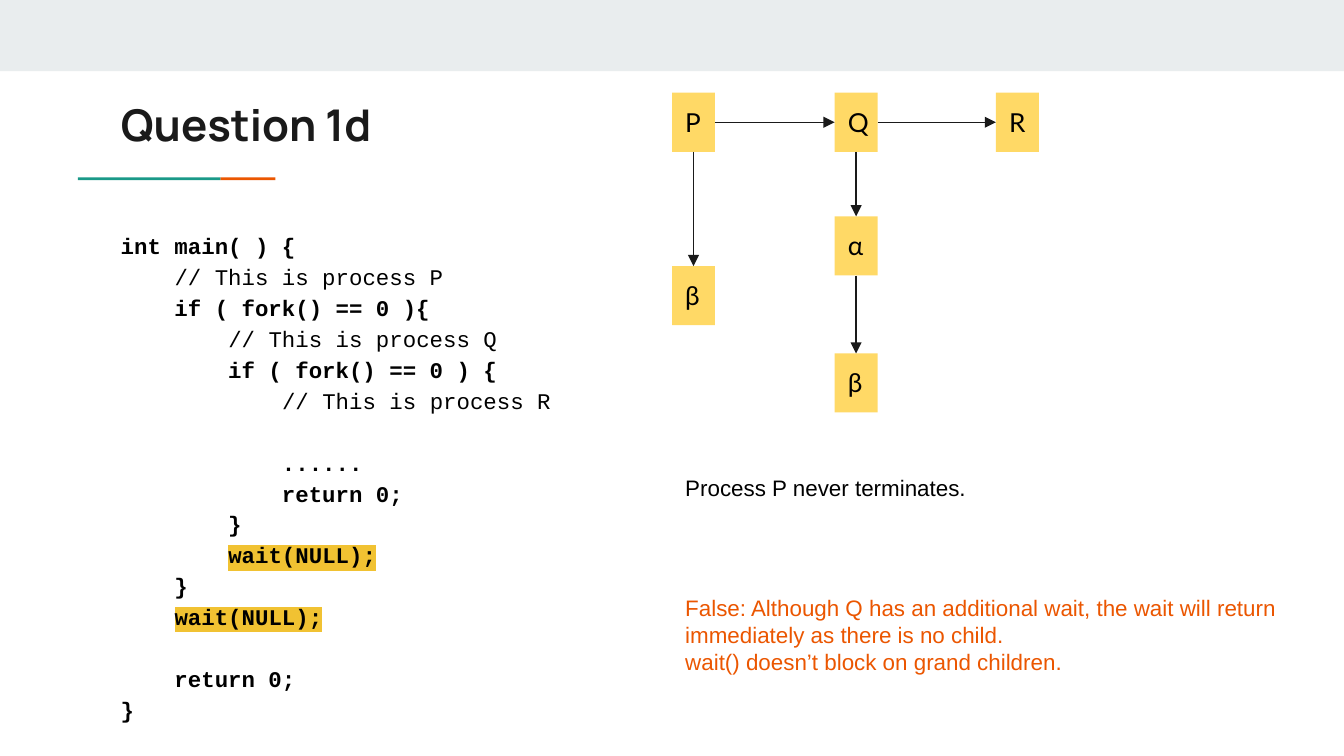
from dataclasses import dataclass

from lxml import etree
from pptx import Presentation
from pptx import util as u
from pptx.dml.color import RGBColor
from pptx.enum import shapes, text
from pptx.oxml.ns import qn

SLIDE_WIDTH = 10
SLIDE_HEIGHT = SLIDE_WIDTH * 9 / 16
BLACK, INK = "000000", "1A1A1A"
ORANGE, TEAL = "EB5600", "1A9988"
HIGHLIGHT = "F1C232"
TOP, LEFT, BOTTOM, RIGHT = range(4)
CODE_LINE = 16.56


@dataclass(frozen=True)
class Bar:
    left: float
    top: float
    width: float
    height: float
    color: str


@dataclass(frozen=True)
class Node:
    label: str
    left: float
    top: float


@dataclass(frozen=True)
class Arrow:
    start: str
    end: str
    start_side: int
    end_side: int


@dataclass(frozen=True)
class CodeLine:
    indent: int
    code: str
    bold: bool = True
    highlight: bool = False
    gap_before: bool = False


@dataclass(frozen=True)
class Note:
    top: float
    height: float
    color: str
    lines: tuple


BARS = [
    Bar(0, 0, SLIDE_WIDTH, 0.53, "E9EDEE"),
    Bar(1.64, 1.32, 0.41, 0.02, ORANGE),
    Bar(0.58, 1.32, 1.06, 0.02, TEAL),
]

NODES = {
    "P": Node("P", 5, 0.69),
    "Q": Node("Q", 6.21, 0.69),
    "R": Node("R", 7.41, 0.69),
    "P beta": Node("β", 5, 1.98),
    "Q alpha": Node("α", 6.21, 1.61),
    "Q beta": Node("β", 6.21, 2.63),
}

ARROWS = [
    Arrow("P", "Q", RIGHT, LEFT),
    Arrow("Q", "R", RIGHT, LEFT),
    Arrow("P", "P beta", BOTTOM, TOP),
    Arrow("Q", "Q alpha", BOTTOM, TOP),
    Arrow("Q alpha", "Q beta", BOTTOM, TOP),
]

CODE = [
    CodeLine(0, "int main( ) {"),
    CodeLine(1, "// This is process P", bold=False),
    CodeLine(1, "if ( fork() == 0 ){"),
    CodeLine(2, "// This is process Q", bold=False),
    CodeLine(2, "if ( fork() == 0 ) {"),
    CodeLine(3, "// This is process R", bold=False),
    CodeLine(3, "......", gap_before=True),
    CodeLine(3, "return 0;"),
    CodeLine(2, "}"),
    CodeLine(2, "wait(NULL);", highlight=True),
    CodeLine(1, "}"),
    CodeLine(1, "wait(NULL);", highlight=True),
    CodeLine(1, "return 0;", gap_before=True),
    CodeLine(0, "}"),
]

NOTES = [
    Note(3.43, 0.4, BLACK, ("Process P never terminates.",)),
    Note(4.32, 0.81, ORANGE, (
        "False: Although Q has an additional wait, the wait will return "
        "immediately as there is no child.",
        "wait() doesn’t block on grand children.",
    )),
]


def rgb(color: str) -> RGBColor:
    return RGBColor.from_string(color)


def add_run(paragraph, content: str, font: str, size: float, color: str, bold: bool = False):
    run = paragraph.add_run()
    run.text = content
    run.font.name = font
    run.font.size = u.Pt(size)
    run.font.bold = bold
    run.font.color.rgb = rgb(color)
    return run


def highlight_run(run, color: str) -> None:
    highlight = etree.Element(qn("a:highlight"))
    etree.SubElement(highlight, qn("a:srgbClr"), val=color)
    run._r.rPr.find(qn("a:solidFill")).addnext(highlight)


def prepare_frame(shape):
    frame = shape.text_frame
    frame.word_wrap = True
    frame.vertical_anchor = text.MSO_ANCHOR.TOP
    frame.margin_left = frame.margin_right = u.Inches(0.1)
    frame.margin_top = frame.margin_bottom = u.Inches(0.1)
    return frame


def add_box(slide, bar: Bar):
    shape = slide.shapes.add_shape(
        shapes.MSO_SHAPE.RECTANGLE,
        u.Inches(bar.left), u.Inches(bar.top), u.Inches(bar.width), u.Inches(bar.height))
    shape.shadow.inherit = False
    shape.fill.solid()
    shape.fill.fore_color.rgb = rgb(bar.color)
    shape.line.fill.background()
    return shape


def add_title(slide, content: str) -> None:
    title = slide.shapes.title
    title.left, title.top = u.Inches(0.8), u.Inches(0.63)
    title.width, title.height = u.Inches(8.41), u.Inches(0.59)
    paragraph = prepare_frame(title).paragraphs[0]
    paragraph.alignment = text.PP_ALIGN.LEFT
    add_run(paragraph, content, "Manrope", 23.4, INK, bold=True)


def add_node(slide, node: Node):
    shape = add_box(slide, Bar(node.left, node.top, 0.32, 0.44, "FFD966"))
    paragraph = prepare_frame(shape).paragraphs[0]
    paragraph.alignment = text.PP_ALIGN.LEFT
    add_run(paragraph, node.label, "Lato", 14, BLACK)
    return shape


def add_arrow(slide, arrow: Arrow, boxes: dict) -> None:
    connector = slide.shapes.add_connector(shapes.MSO_CONNECTOR.STRAIGHT, 0, 0, 0, 0)
    connector.begin_connect(boxes[arrow.start], arrow.start_side)
    connector.end_connect(boxes[arrow.end], arrow.end_side)
    connector.line.color.rgb = rgb(INK)
    connector.line.width = u.Pt(0.75)
    etree.SubElement(connector.line._get_or_add_ln(), qn("a:tailEnd"), type="triangle")
    etree.SubElement(connector._element.spPr, qn("a:effectLst"))


def add_code(slide, lines: list) -> None:
    box = slide.shapes.add_textbox(u.Inches(0.8), u.Inches(1.6), u.Inches(3.52), u.Inches(3.67))
    frame = prepare_frame(box)
    for index, line in enumerate(lines):
        paragraph = frame.add_paragraph() if index else frame.paragraphs[0]
        paragraph.line_spacing = 1.15
        if line.gap_before:
            paragraph.space_before = u.Pt(CODE_LINE)
        if line.indent:
            add_run(paragraph, "    " * line.indent, "Courier New", 12, BLACK, bold=True)
        run = add_run(paragraph, line.code, "Courier New", 12, BLACK, line.bold)
        if line.highlight:
            highlight_run(run, HIGHLIGHT)


def add_note(slide, note: Note) -> None:
    box = slide.shapes.add_textbox(
        u.Inches(5), u.Inches(note.top), u.Inches(4.72), u.Inches(note.height))
    frame = prepare_frame(box)
    for index, line in enumerate(note.lines):
        paragraph = frame.add_paragraph() if index else frame.paragraphs[0]
        add_run(paragraph, line, "Arial", 12, note.color)


def main() -> None:
    presentation = Presentation()
    presentation.slide_width = u.Inches(SLIDE_WIDTH)
    presentation.slide_height = u.Inches(SLIDE_HEIGHT)
    slide = presentation.slides.add_slide(presentation.slide_layouts[5])
    for bar in BARS:
        add_box(slide, bar)
    add_title(slide, "Question 1d")
    add_code(slide, CODE)
    boxes = {name: add_node(slide, node) for name, node in NODES.items()}
    for arrow in ARROWS:
        add_arrow(slide, arrow, boxes)
    for note in NOTES:
        add_note(slide, note)
    presentation.save("out.pptx")


if __name__ == "__main__":
    main()
